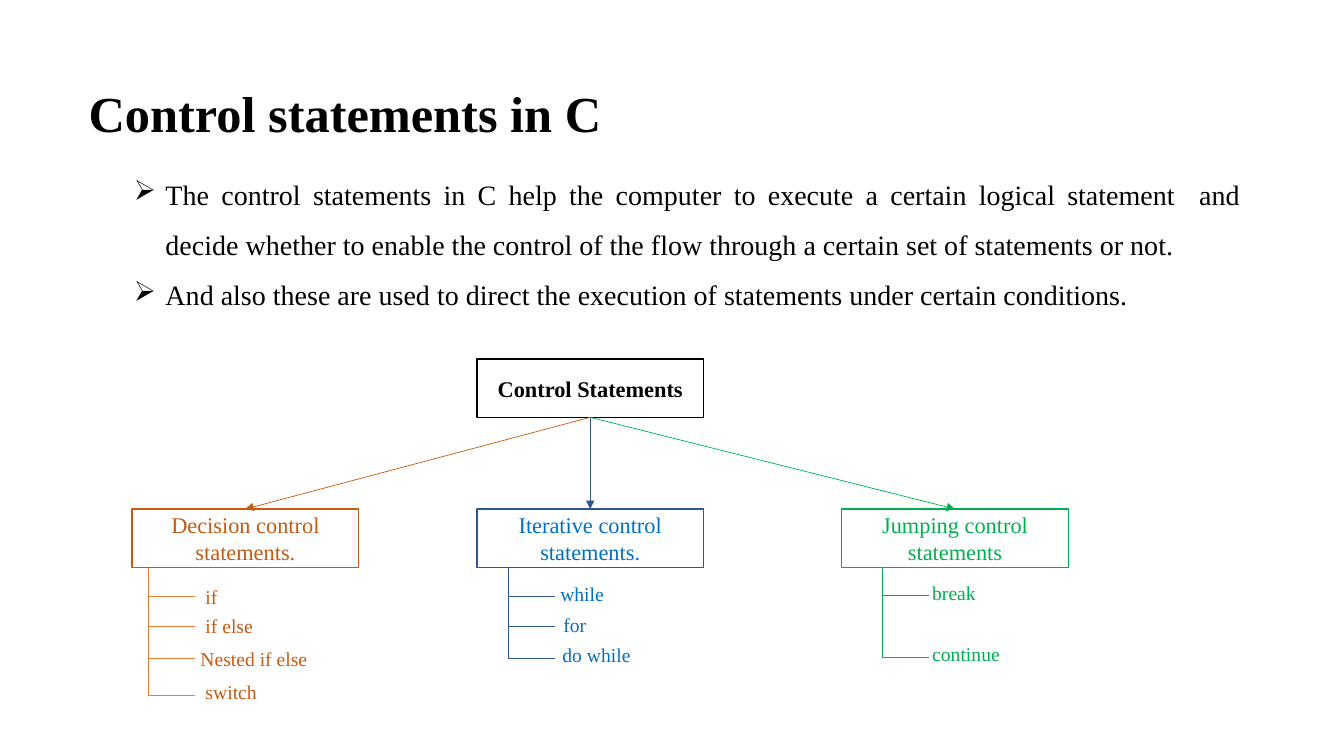
from lxml.etree import SubElement
from pptx import Presentation
from pptx.dml.color import RGBColor
from pptx.enum.shapes import MSO_CONNECTOR, MSO_SHAPE
from pptx.enum.text import MSO_ANCHOR, PP_ALIGN
from pptx.oxml.ns import qn
from pptx.util import Pt

TITLE = "Control statements in C"
BULLETS = [
    "The control statements in C help the computer to execute a certain logical statement  and decide whether to enable the control of the flow through a certain set of statements or not.",
    "And also these are used to direct the execution of statements under certain conditions.",
]
ROOT = "Control Statements"
# item: text, tick y, label left, label top, label width
BRANCHES = [
    dict(text="Decision control statements.", left=94.3, trunk=105.8,
         ink="C55A11", edge="C55A11", twig="ED7D31", items=[
             ("if", 426.2, 139.7, 414, 29.5),
             ("if else", 447.1, 139.7, 434.9, 51.1),
             ("Nested if else", 470.2, 136.1, 458.6, 108.7),
             ("switch", 496.8, 139.7, 482.4, 108.7)]),
    dict(text="Iterative control statements.", left=340.6, trunk=362.9,
         ink="0070C0", edge="2F5597", twig="2F5597", items=[
             ("while", 426.2, 393.1, 411.8, 51.1),
             ("for", 447.1, 395.3, 434.2, 41),
             ("do while", 470.2, 394.6, 455.8, 71.3)]),
    dict(text="Jumping control statements", left=601.2, trunk=630,
         ink="00B050", edge="00B050", twig="00B050", items=[
             ("break", 425.5, 658.8, 411.1, 48.2),
             ("continue", 469.4, 658.8, 455, 66.2)]),
]
BOX_W, BOX_H = 162, 41.8
ROOT_LEFT, ROOT_TOP, BRANCH_TOP = 340.6, 256.3, 363.6
TICK, LABEL_H = 33.8, 24.5
FONT = "Times New Roman"


def color(value):
    return RGBColor.from_string(value)


def write(p, text, size, ink, bold=False):
    r = p.add_run()
    r.text = text
    for key, value in dict(name=FONT, size=Pt(size), bold=bold).items():
        setattr(r.font, key, value)
    r.font.color.rgb = color(ink)


def text_box(s, left, top, width, height):
    tf = s.shapes.add_textbox(Pt(left), Pt(top), Pt(width), Pt(height)).text_frame
    tf.word_wrap = True
    return tf


def add_box(s, text, left, top, ink, edge, bold=False):
    sp = s.shapes.add_shape(MSO_SHAPE.RECTANGLE, Pt(left), Pt(top), Pt(BOX_W), Pt(BOX_H))
    sp.shadow.inherit = False
    sp.fill.solid()
    sp.fill.fore_color.rgb = color("FFFFFF")
    sp.line.color.rgb = color(edge)
    sp.line.width = Pt(1)
    tf = sp.text_frame
    for key, value in dict(word_wrap=True, vertical_anchor=MSO_ANCHOR.MIDDLE).items():
        setattr(tf, key, value)
    p = tf.paragraphs[0]
    p.alignment = PP_ALIGN.CENTER
    write(p, text, 16, ink, bold)


def add_line(s, x1, y1, x2, y2, ink, arrow=False):
    line = s.shapes.add_connector(MSO_CONNECTOR.STRAIGHT, Pt(x1), Pt(y1), Pt(x2), Pt(y2))
    line.line.color.rgb = color(ink)
    line.line.width = Pt(0.5)
    if arrow:
        SubElement(line.line._get_or_add_ln(), qn("a:tailEnd"), type="triangle")
    SubElement(line._element.spPr, qn("a:effectLst"))


def add_bullet(p, text):
    pPr = p._p.get_or_add_pPr()
    pPr.set("marL", str(Pt(22.5)))
    pPr.set("indent", str(-Pt(22.5)))
    SubElement(pPr, qn("a:buChar"), char="➢")
    for key, value in dict(alignment=PP_ALIGN.JUSTIFY, line_spacing=1.5).items():
        setattr(p, key, value)
    write(p, text, 20, "000000")


def add_branch(s, branch):
    left, trunk, twig = branch["left"], branch["trunk"], branch["twig"]
    add_box(s, branch["text"], left, BRANCH_TOP, branch["ink"], branch["edge"])
    add_line(s, ROOT_LEFT + BOX_W / 2, ROOT_TOP + BOX_H,
             left + BOX_W / 2, BRANCH_TOP, branch["edge"], arrow=True)
    add_line(s, trunk, BRANCH_TOP + BOX_H, trunk, branch["items"][-1][1], twig)
    for text, tick_y, x, y, width in branch["items"]:
        add_line(s, trunk + TICK, tick_y, trunk, tick_y, twig)
        tf = text_box(s, x, y, width, LABEL_H)
        write(tf.paragraphs[0], text, 14, branch["ink"])


def main():
    prs = Presentation()
    prs.slide_width, prs.slide_height = Pt(960), Pt(540)
    s = prs.slides.add_slide(prs.slide_layouts[6])
    write(text_box(s, 56.2, 55.4, 607.7, 51.1).paragraphs[0], TITLE, 36, "000000", True)
    tf = text_box(s, 88.6, 110.9, 805, 115.9)
    for i, text in enumerate(BULLETS):
        add_bullet(tf.add_paragraph() if i else tf.paragraphs[0], text)
    add_box(s, ROOT, ROOT_LEFT, ROOT_TOP, "000000", "000000", True)
    for branch in BRANCHES:
        add_branch(s, branch)
    prs.save("out.pptx")


if __name__ == "__main__":
    main()
